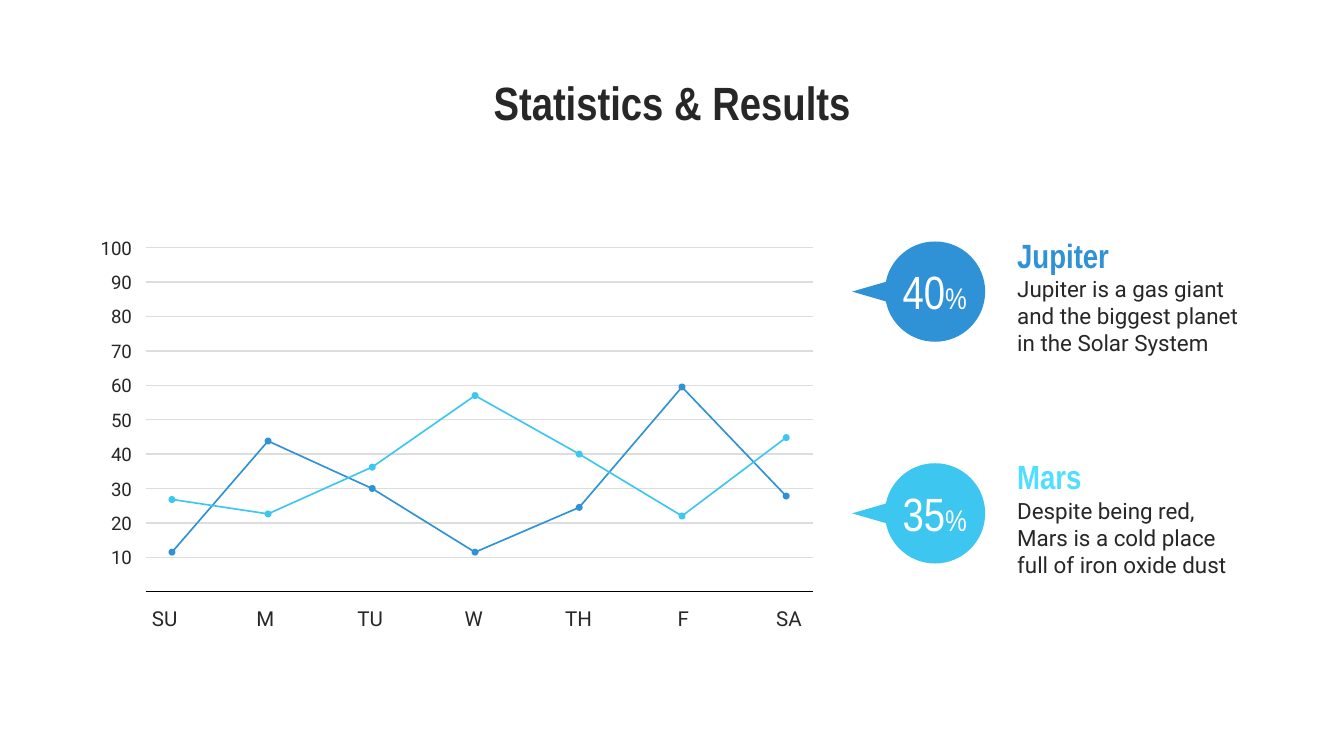
from math import cos, pi, sin

from lxml.etree import SubElement
from pptx import Presentation
from pptx.dml.color import RGBColor
from pptx.enum.shapes import MSO_CONNECTOR, MSO_SHAPE
from pptx.enum.text import MSO_ANCHOR, PP_ALIGN
from pptx.oxml.ns import qn
from pptx.util import Inches, Pt

INK = RGBColor(0x27, 0x27, 0x27)
BLACK = RGBColor(0x00, 0x00, 0x00)
WHITE = RGBColor(0xFF, 0xFF, 0xFF)
GRID_GREY = RGBColor(0xDD, 0xDD, 0xDD)
BLUE = RGBColor(0x2F, 0x91, 0xD6)
SKY = RGBColor(0x3D, 0xC6, 0xEF)
BRIGHT_SKY = RGBColor(0x52, 0xDE, 0xFF)

COLUMNS, ROWS = 100, 56.25
AXIS_LEFT, AXIS_RIGHT, AXIS_ROW = 10.85, 60.5, 44.03
ROWS_PER_TEN = 2.56

DAYS = ["SU", "M", "TU", "W", "TH", "F", "SA"]
DAY_LABELS = [12.25, 19.75, 27.55, 35.25, 43.05, 50.85, 58.7]
DAY_POINTS = [12.8, 19.95, 27.7, 35.35, 43.1, 50.75, 58.5]

PLANETS = [
    ("Jupiter", "Jupiter is a gas giant and the biggest planet in the Solar System",
     "40", BLUE, BLUE, [11.5, 43.8, 30, 11.5, 24.5, 59.5, 27.8]),
    ("Mars", "Despite being red, Mars is a cold place full of iron oxide dust",
     "35", SKY, BRIGHT_SKY, [26.8, 22.6, 36.2, 57, 40, 22, 44.8]),
]


def value_row(value):
    return AXIS_ROW - value / 10 * ROWS_PER_TEN


class StatisticsSlide:
    heading_font = "Arial Narrow"
    body_font = "Roboto"

    def __init__(self, deck):
        self.cell_width = deck.slide_width / COLUMNS
        self.cell_height = deck.slide_height / ROWS
        self.slide = deck.slides.add_slide(deck.slide_layouts[5])

    def place(self, column, row):
        return round(column * self.cell_width), round(row * self.cell_height)

    def style(self, frame, parts, size, font, color, align, anchor, bold=False):
        frame.word_wrap = True
        frame.vertical_anchor = anchor
        frame.margin_left = frame.margin_right = Inches(0.1)
        frame.margin_top = frame.margin_bottom = Inches(0.1)
        paragraph = frame.paragraphs[0]
        paragraph.text = parts[0]
        for part in parts[1:]:
            paragraph.add_run().text = part
        paragraph.alignment = align
        for run in paragraph.runs:
            run.font.name = font
            run.font.size = Pt(size)
            run.font.bold = bold
            run.font.color.rgb = color
        return paragraph

    def title(self, text, column, row, width, height):
        heading = self.slide.shapes.title
        heading.left, heading.top = self.place(column, row)
        heading.width, heading.height = self.place(width, height)
        self.style(heading.text_frame, [text], 25, self.heading_font, INK,
                   PP_ALIGN.CENTER, MSO_ANCHOR.TOP, True)

    def text(self, parts, column, row, width, height, size, font=body_font, color=INK,
             align=PP_ALIGN.LEFT, anchor=MSO_ANCHOR.MIDDLE, bold=False):
        box = self.slide.shapes.add_textbox(*self.place(column, row), *self.place(width, height))
        return self.style(box.text_frame, parts, size, font, color, align, anchor, bold)

    def rule(self, row, color):
        line = self.slide.shapes.add_connector(
            MSO_CONNECTOR.STRAIGHT, *self.place(AXIS_LEFT, row), *self.place(AXIS_RIGHT, row))
        line.line.color.rgb = color
        line.line.width = Pt(0.75)
        SubElement(line._element.spPr, qn("a:effectLst"))

    def outline(self, points, close):
        corners = [self.place(*point) for point in points]
        builder = self.slide.shapes.build_freeform(*corners[0])
        builder.add_line_segments(corners[1:], close=close)
        shape = builder.convert_to_shape()
        shape.shadow.inherit = False
        return shape

    def series(self, values, color):
        points = [(column, value_row(value)) for column, value in zip(DAY_POINTS, values)]
        curve = self.outline(points, False)
        curve.fill.background()
        curve.line.color.rgb = color
        curve.line.width = Pt(0.87)
        for column, row in points:
            dot = self.slide.shapes.add_shape(
                MSO_SHAPE.OVAL, *self.place(column - 0.26, row - 0.26), *self.place(0.52, 0.52))
            dot.shadow.inherit = False
            dot.fill.solid()
            dot.fill.fore_color.rgb = color
            dot.line.fill.background()

    def bubble(self, number, row, color):
        center, radius, tip, steps = 69.57, 3.73, 63.4, 60
        opening = pi / 16
        sweep = 2 * (pi - opening) / steps
        angles = [-pi + opening + step * sweep for step in range(steps + 1)]
        arc = [(center + radius * cos(angle), row + radius * sin(angle)) for angle in angles]
        balloon = self.outline([(tip, row)] + arc, True)
        balloon.fill.solid()
        balloon.fill.fore_color.rgb = color
        balloon.line.fill.background()
        share = self.text([number, "%"], 65.8, row - 2, 7.5, 3.9, 25, self.heading_font,
                          WHITE, PP_ALIGN.CENTER)
        share.runs[1].font.size = Pt(16)

    def description(self, name, fact, row, color):
        heading = self.text([name], 74.7, row, 19.2, 5.2, 18, self.heading_font, color,
                            anchor=MSO_ANCHOR.TOP, bold=True)
        heading.line_spacing = 1.15
        heading.space_after = Pt(16)
        self.text([fact], 74.7, row + 3.5, 19.2, 7.9, 12, anchor=MSO_ANCHOR.TOP)


def main():
    deck = Presentation()
    deck.slide_width = Inches(10)
    deck.slide_height = deck.slide_width * 9 // 16
    page = StatisticsSlide(deck)
    page.title("Statistics & Results", 5, 4.5, 90, 5.4)

    scale = range(100, 0, -10)
    for value in scale:
        page.rule(value_row(value), GRID_GREY)
    page.rule(AXIS_ROW, BLACK)
    for value in reversed(scale):
        page.text([str(value)], 6.1, value_row(value) - 1.1, 4.7, 2.2, 10, align=PP_ALIGN.RIGHT)
    for day, column in zip(DAYS, DAY_LABELS):
        page.text([day], column - 2.05, 44.9, 4.1, 2.2, 11, align=PP_ALIGN.CENTER)

    for name, fact, share, color, name_color, values in PLANETS:
        page.series(values, color)
    for index, (name, fact, share, color, name_color, values) in enumerate(PLANETS):
        drop = index * 16.5
        page.bubble(share, 21.7 + drop, color)
        page.description(name, fact, 16 + drop, name_color)

    deck.save("out.pptx")


if __name__ == "__main__":
    main()
